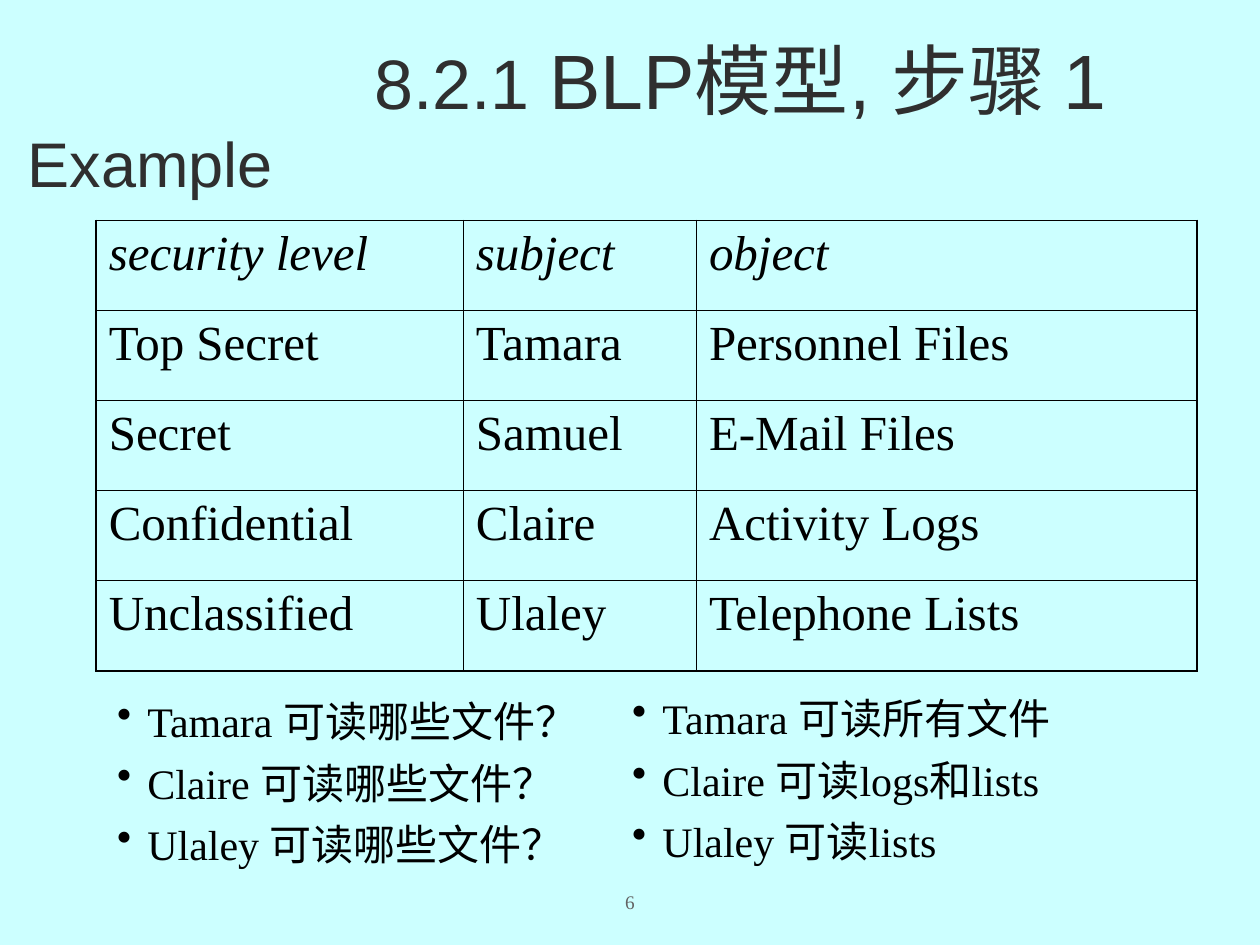
from dataclasses import dataclass

from lxml.etree import SubElement
from pptx import Presentation
from pptx.dml.color import RGBColor
from pptx.enum.text import MSO_ANCHOR, MSO_AUTO_SIZE, PP_ALIGN
from pptx.oxml.ns import qn
from pptx.util import Pt


@dataclass(frozen=True)
class Theme:
    background: str = "CCFFFF"
    heading: str = "2F2F2F"
    ink: str = "000000"
    muted: str = "636363"
    heading_font: str = "Arial"
    body_font: str = "Times New Roman"
    section_size: float = 40
    title_size: float = 44
    subtitle_size: float = 36
    table_size: float = 28
    bullet_size: float = 24
    number_size: float = 11
    outer_line: float = 1.08
    inner_line: float = 0.45


@dataclass(frozen=True)
class Frame:
    left: float
    top: float
    width: float
    height: float

    def lengths(self) -> tuple:
        return Pt(self.left), Pt(self.top), Pt(self.width), Pt(self.height)


@dataclass(frozen=True)
class BulletList:
    frame: Frame
    lines: tuple


THEME = Theme()
TITLE_FRAME = Frame(8.64, 21.6, 708.5, 90)
TABLE_FRAME = Frame(55, 126, 629, 257.5)
NUMBER_FRAME = Frame(324, 504, 72, 22.3)
COLUMN_WIDTHS = (209.8, 133.2, 286)
TITLE_INDENT = 198
BULLET_INDENT = 17.3
ROWS = (
    ("security level", "subject", "object"),
    ("Top Secret", "Tamara", "Personnel Files"),
    ("Secret", "Samuel", "E-Mail Files"),
    ("Confidential", "Claire", "Activity Logs"),
    ("Unclassified", "Ulaley", "Telephone Lists"),
)
QUESTIONS = BulletList(
    Frame(59.8, 401.8, 311, 98),
    tuple(f"{name} 可读哪些文件？" for name in ("Tamara", "Claire", "Ulaley")),
)
ANSWERS = BulletList(
    Frame(354.2, 400.3, 311, 98),
    ("Tamara 可读所有文件", "Claire 可读logs和lists", "Ulaley 可读lists"),
)


def add_span(para, text: str, size: float, font: str, color: str, italic: bool = False) -> None:
    """Add one formatted run to a paragraph."""
    span = para.add_run()
    span.text = text
    span.font.size = Pt(size)
    span.font.name = font
    span.font.italic = italic
    span.font.color.rgb = RGBColor.from_string(color)


def set_indent(para, margin: float, first_line: float) -> None:
    """Set the left margin and first-line indent of a paragraph."""
    properties = para._p.get_or_add_pPr()
    properties.set("marL", str(Pt(margin)))
    properties.set("indent", str(Pt(first_line)))


def fill_title(page) -> None:
    """Place the title and write its two lines."""
    title = page.shapes.title
    title.left, title.top, title.width, title.height = TITLE_FRAME.lengths()
    box = title.text_frame
    box.word_wrap = True
    box.auto_size = MSO_AUTO_SIZE.NONE
    box.vertical_anchor = MSO_ANCHOR.MIDDLE
    para = box.paragraphs[0]
    para.alignment = PP_ALIGN.LEFT
    set_indent(para, 0, TITLE_INDENT)
    style = (THEME.heading_font, THEME.heading)
    add_span(para, "8.2.1 ", THEME.section_size, *style)
    add_span(para, "BLP模型, 步骤 1", THEME.title_size, *style)
    para.add_line_break()
    add_span(para, "Example", THEME.subtitle_size, *style)


def set_borders(cell, outer_sides: dict) -> None:
    """Draw the four cell borders, heavier on the outer sides."""
    properties = cell._tc.get_or_add_tcPr()
    for side, outer in outer_sides.items():
        width = THEME.outer_line if outer else THEME.inner_line
        line = SubElement(properties, qn(f"a:ln{side}"), w=str(Pt(width)))
        fill = SubElement(line, qn("a:solidFill"))
        SubElement(fill, qn("a:srgbClr"), val=THEME.ink)


def add_security_table(page) -> None:
    """Add the table of security levels, subjects and objects."""
    row_count, column_count = len(ROWS), len(COLUMN_WIDTHS)
    table = page.shapes.add_table(row_count, column_count, *TABLE_FRAME.lengths()).table
    table.first_row = False
    table.horz_banding = False
    for column, width in zip(table.columns, COLUMN_WIDTHS):
        column.width = Pt(width)
    for row_index, row in enumerate(ROWS):
        table.rows[row_index].height = Pt(TABLE_FRAME.height / row_count)
        for column_index, text in enumerate(row):
            cell = table.cell(row_index, column_index)
            set_borders(cell, {
                "L": column_index == 0,
                "R": column_index == column_count - 1,
                "T": row_index == 0,
                "B": row_index == row_count - 1,
            })
            cell.fill.background()
            add_span(cell.text_frame.paragraphs[0], text, THEME.table_size,
                     THEME.body_font, THEME.ink, italic=row_index == 0)


def add_bullets(page, bullets: BulletList) -> None:
    """Add a text box holding a bulleted list."""
    box = page.shapes.add_textbox(*bullets.frame.lengths()).text_frame
    box.word_wrap = True
    box.auto_size = MSO_AUTO_SIZE.SHAPE_TO_FIT_TEXT
    for index, line in enumerate(bullets.lines):
        para = box.add_paragraph() if index else box.paragraphs[0]
        set_indent(para, BULLET_INDENT, -BULLET_INDENT)
        properties = para._p.get_or_add_pPr()
        color = SubElement(properties, qn("a:buClr"))
        SubElement(color, qn("a:srgbClr"), val=THEME.ink)
        SubElement(properties, qn("a:buChar"), char="•")
        para.line_spacing = 0.7
        if index:
            para.space_before = Pt(15)
        add_span(para, line, THEME.bullet_size, THEME.body_font, THEME.ink)


def add_page_number(page) -> None:
    """Add the page number at the foot of the slide."""
    box = page.shapes.add_textbox(*NUMBER_FRAME.lengths()).text_frame
    box.word_wrap = True
    box.vertical_anchor = MSO_ANCHOR.MIDDLE
    box.margin_left = box.margin_right = Pt(3.6)
    para = box.paragraphs[0]
    para.alignment = PP_ALIGN.CENTER
    add_span(para, "6", THEME.number_size, THEME.body_font, THEME.muted)


def main() -> None:
    """Build the slide and save the deck."""
    deck = Presentation()
    deck.slide_width, deck.slide_height = Pt(720), Pt(540)
    page = deck.slides.add_slide(deck.slide_layouts[5])
    page.background.fill.solid()
    page.background.fill.fore_color.rgb = RGBColor.from_string(THEME.background)
    fill_title(page)
    add_security_table(page)
    add_page_number(page)
    for bullets in (QUESTIONS, ANSWERS):
        add_bullets(page, bullets)
    deck.save("out.pptx")


if __name__ == "__main__":
    main()
